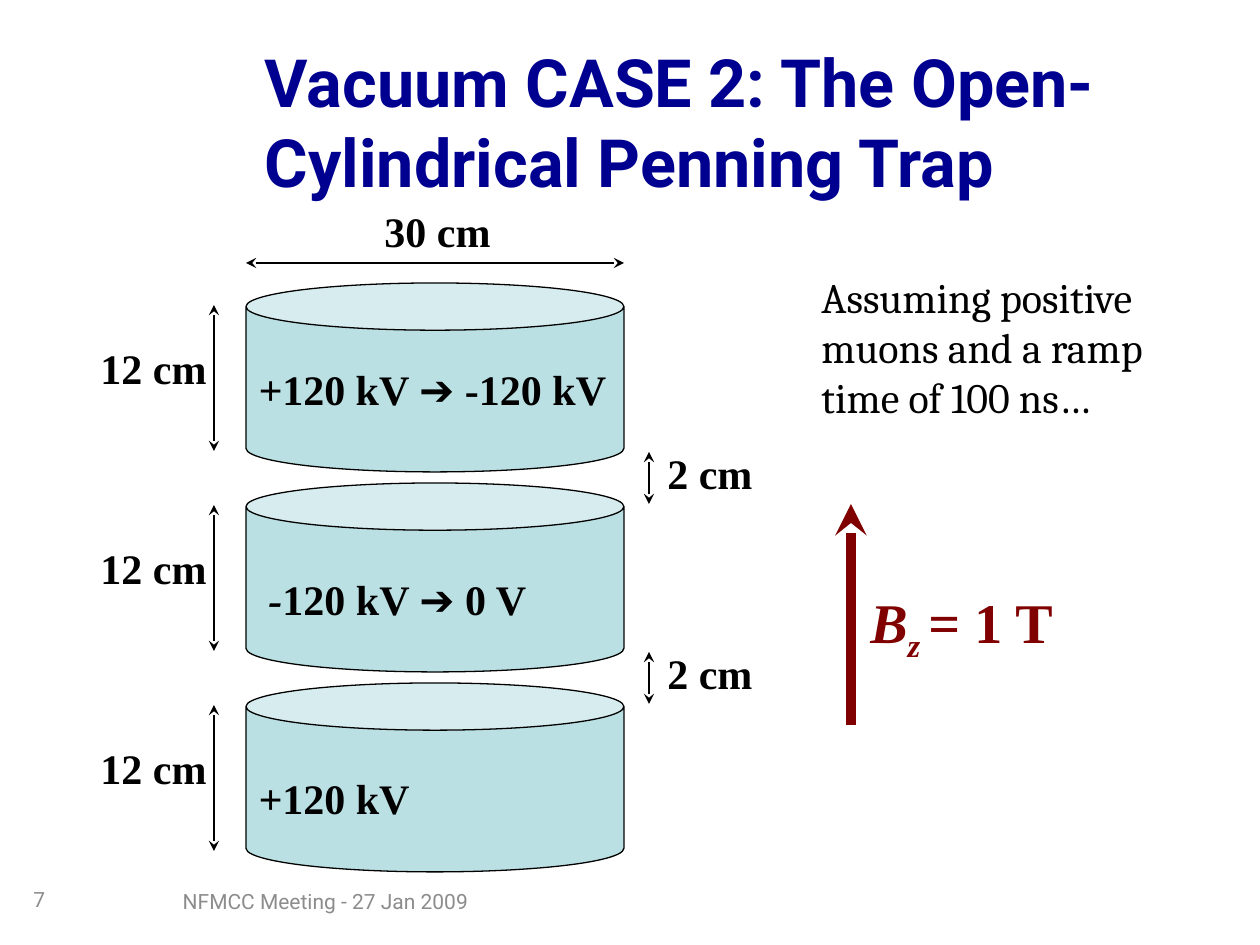
from lxml.etree import SubElement
from pptx import Presentation
from pptx.dml.color import RGBColor
from pptx.enum.shapes import MSO_CONNECTOR as Connector, MSO_SHAPE as Shape
from pptx.enum.text import MSO_ANCHOR as Anchor, MSO_AUTO_SIZE as AutoSize, PP_ALIGN as Align
from pptx.oxml.ns import qn
from pptx.util import Emu, Pt

SCALE = 914400 / 126
SERIF = "Times New Roman"
BLACK, MAROON, GREY = "000000", "800000", "8C8C8C"


def color(value):
    return RGBColor.from_string(value)


def px(*values):
    return [Emu(round(value * SCALE)) for value in values]


deck = Presentation()
deck.slide_width, deck.slide_height = px(1260, 945)
page = deck.slides.add_slide(deck.slide_layouts[5])

title = page.shapes.title
title.left, title.top, title.width, title.height = px(252, 42, 966, 158)
title.text_frame.auto_size = AutoSize.NONE
title.text_frame.vertical_anchor = Anchor.MIDDLE
para = title.text_frame.paragraphs[0]
para.alignment = Align.LEFT
span = para.add_run()
span.text = "Vacuum CASE 2: The Open-Cylindrical Penning Trap"
span.font.name, span.font.size, span.font.bold = "Roboto", Pt(38), True
span.font.color.rgb = color("000090")

CAN_LEFT, CAN_TOP, CAN_WIDTH, CAN_HEIGHT, PITCH = 246, 283, 378, 189, 200
tops = [CAN_TOP + PITCH * row for row in range(3)]

for top in tops:
    can = page.shapes.add_shape(Shape.CAN, *px(CAN_LEFT, top, CAN_WIDTH, CAN_HEIGHT))
    can.shadow.inherit = False
    can.fill.solid()
    can.fill.fore_color.rgb = color("BBE0E3")
    can.line.color.rgb = color(BLACK)
    can.line.width = Pt(0.75)

both_ends = ("headEnd", "tailEnd")
arrows = [
    (CAN_LEFT, 263, CAN_LEFT + CAN_WIDTH, 263, BLACK, 0.75, both_ends),
    (851, 725, 851, 504, MAROON, 6, ("tailEnd",)),
]
arrows += [(214, top + 168, 214, top + 22, BLACK, 0.75, both_ends) for top in tops]
arrows += [(649, top + 221, 649, top + 169, BLACK, 0.75, both_ends) for top in tops[:2]]
for x1, y1, x2, y2, ink, weight, ends in arrows:
    arrow = page.shapes.add_connector(Connector.STRAIGHT, *px(x1, y1, x2, y2))
    arrow.line.color.rgb = color(ink)
    arrow.line.width = Pt(weight)
    for end in ends:
        SubElement(arrow.line._get_or_add_ln(), qn(f"a:{end}"), type="stealth")
    SubElement(arrow._element.spPr, qn("a:effectLst"))

labels = [
    (246, 357, 401, 63, 24, BLACK,
     [("+", "i"), ("120 kV ", ""), ("➔", "arrow"), (" -120 kV", "")]),
    (256, 567, 310, 63, 24, BLACK,
     [("-", "i"), ("120 kV ", ""), ("➔", "arrow"), (" 0 V", "")]),
    (246, 766, 180, 63, 24, BLACK, [("+", "i"), ("120 kV", "")]),
    (372, 199, 132, 63, 24, BLACK, [("30 cm", "")]),
    (858, 581, 229, 81, 32, MAROON, [("B", "i"), ("z ", "sub"), ("= 1 T", "")]),
]
labels += [(88, top + 53, 132, 63, 24, BLACK, [("12 cm", "")]) for top in tops]
labels += [(655, top + 158, 111, 63, 24, BLACK, [("2 cm", "")]) for top in tops[:2]]
for left, top, width, height, size, ink, pieces in labels:
    box = page.shapes.add_textbox(*px(left, top, width, height))
    box.text_frame.word_wrap = False
    box.text_frame.auto_size = AutoSize.SHAPE_TO_FIT_TEXT
    para = box.text_frame.paragraphs[0]
    for text, style in pieces:
        span = para.add_run()
        span.text = text
        span.font.name = "Arial" if style == "arrow" else SERIF
        span.font.size, span.font.bold = Pt(size), True
        span.font.italic = style in ("i", "sub")
        span.font.color.rgb = color(ink)
        if style == "sub":
            span.font._element.set("baseline", "-25000")

notes = [
    (809, 265, 383, 165, "Assuming positive muons and a ramp time of 100 ns…",
     "Cambria", 24, BLACK, Align.LEFT, Anchor.TOP),
    (126, 876, 399, 50, "NFMCC Meeting - 27 Jan 2009",
     "Roboto", 12, GREY, Align.CENTER, Anchor.MIDDLE),
    (21, 872, 73, 54, "7", "Roboto", 12, GREY, Align.LEFT, Anchor.MIDDLE),
]
for left, top, width, height, text, face, size, ink, align, anchor in notes:
    box = page.shapes.add_textbox(*px(left, top, width, height))
    box.text_frame.word_wrap = True
    box.text_frame.vertical_anchor = anchor
    para = box.text_frame.paragraphs[0]
    para.alignment = align
    span = para.add_run()
    span.text = text
    span.font.name, span.font.size = face, Pt(size)
    span.font.color.rgb = color(ink)

deck.save("out.pptx")
